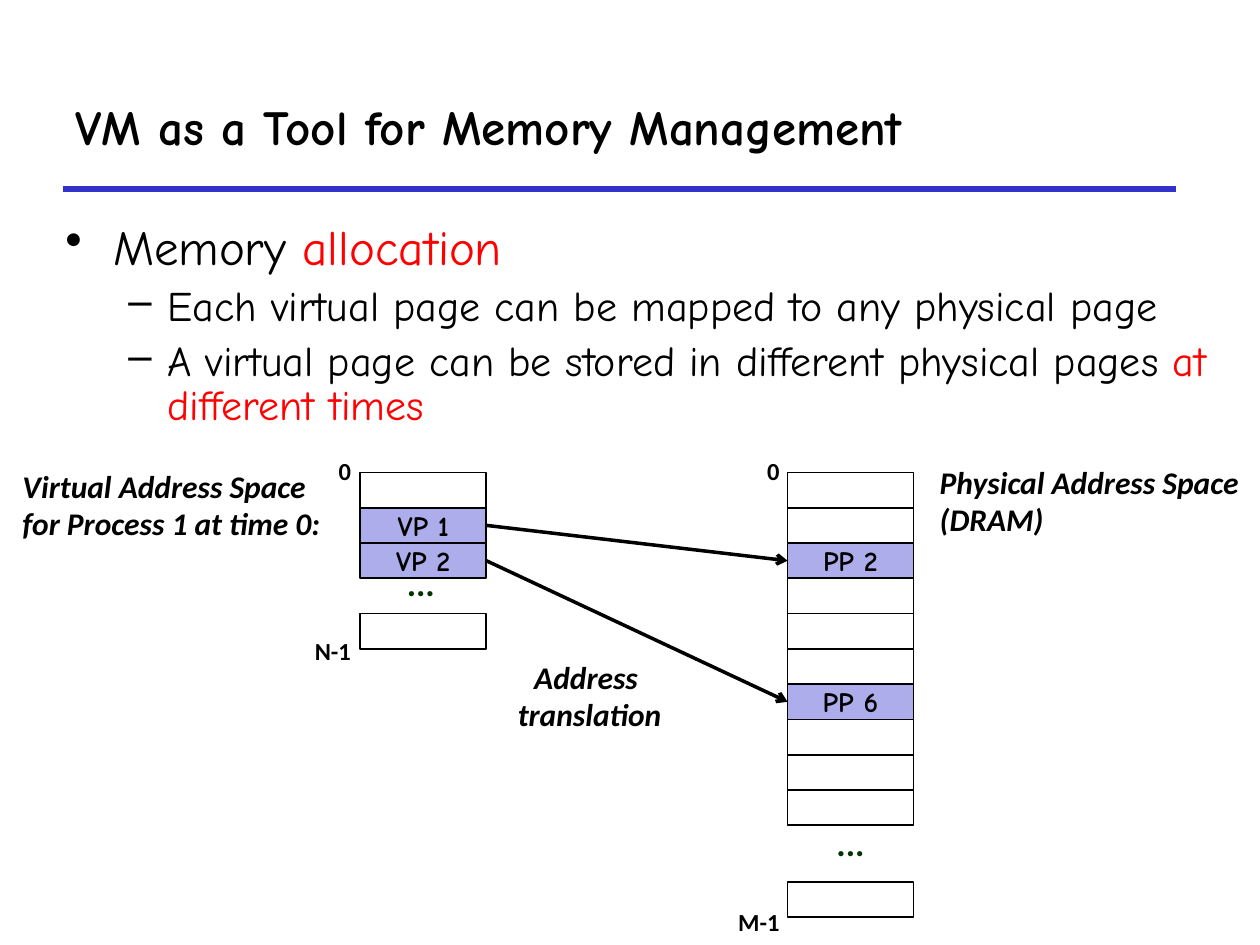
from lxml.etree import SubElement
from pptx import Presentation
from pptx.dml.color import RGBColor
from pptx.enum.shapes import MSO_CONNECTOR as Connector, MSO_SHAPE as Shape
from pptx.enum.text import MSO_ANCHOR as Anchor, PP_ALIGN as Align
from pptx.oxml.ns import qn
from pptx.util import Inches, Pt

HAND, SANS = "Comic Neue", "Calibri"
BLACK, RED, BLUE, LILAC, GREEN = "000000", "FF0000", "3333CC", "ADADEB", "003300"
CELL_WIDTH, CELL_HEIGHT, TABLE_TOP = 1, 0.28, 3.75
VIRTUAL_LEFT, PHYSICAL_LEFT = 2.86, 6.25


def color(hex_value):
    return RGBColor.from_string(hex_value)


def write(paragraph, text, size=18, font=SANS, fill=BLACK, bold=False, italic=False,
          align=None, spacing=None, before=None):
    run = paragraph.add_run()
    run.text = text
    run.font.size = Pt(size)
    run.font.name = font
    run.font.bold = bold
    run.font.italic = italic
    run.font.color.rgb = color(fill)
    if align is not None:
        paragraph.alignment = align
    if spacing is not None:
        paragraph.line_spacing = spacing
    if before is not None:
        paragraph.space_before = Pt(before)


def add_bullet(paragraph, symbol, margin, indent):
    properties = paragraph._p.get_or_add_pPr()
    properties.set("marL", str(Inches(margin)))
    properties.set("indent", str(Inches(indent)))
    bullet_color = SubElement(properties, qn("a:buClr"))
    SubElement(bullet_color, qn("a:srgbClr"), val=BLACK)
    SubElement(properties, qn("a:buChar"), char=symbol)


class SlideBuilder:
    def __init__(self, slide):
        self.slide = slide
        self.line_color = BLACK

    def frame(self, left, top, width, height, wrap=True, anchor=Anchor.TOP):
        box = self.slide.shapes.add_textbox(
            Inches(left), Inches(top), Inches(width), Inches(height))
        box.text_frame.word_wrap = wrap
        box.text_frame.vertical_anchor = anchor
        return box.text_frame

    def label(self, lines, left, top, width, height, wrap=True, anchor=Anchor.TOP, **style):
        frame = self.frame(left, top, width, height, wrap, anchor)
        for index, text in enumerate(lines):
            paragraph = frame.add_paragraph() if index else frame.paragraphs[0]
            write(paragraph, text, **style)

    def bullets(self, items, left, top, width, height):
        frame = self.frame(left, top, width, height)
        for index, (level, runs) in enumerate(items):
            paragraph = frame.add_paragraph() if index else frame.paragraphs[0]
            paragraph.level = level
            if level:
                add_bullet(paragraph, "–", 0.81, -0.31)
                style = dict(size=24, spacing=0.88, before=6)
            else:
                add_bullet(paragraph, "•", 0.38, -0.38)
                style = dict(size=28, spacing=0.83)
            for text, fill in runs:
                write(paragraph, text, font=HAND, fill=fill, **style)

    def cell(self, left, top, text=None):
        shape = self.slide.shapes.add_shape(
            Shape.RECTANGLE, Inches(left), Inches(top), Inches(CELL_WIDTH), Inches(CELL_HEIGHT))
        shape.shadow.inherit = False
        shape.line.color.rgb = color(self.line_color)
        shape.line.width = Pt(1)
        if text is None:
            shape.fill.background()
            return
        shape.fill.solid()
        shape.fill.fore_color.rgb = color(LILAC)
        shape.text_frame.vertical_anchor = Anchor.MIDDLE
        write(shape.text_frame.paragraphs[0], text, size=16, font=HAND, bold=True,
              align=Align.CENTER)

    def address_space(self, left, count, pages, last_top):
        for row in range(count):
            self.cell(left, TABLE_TOP + row * CELL_HEIGHT, pages.get(row))
        self.cell(left, last_top)

    def line(self, start, end, fill, width, arrow=False):
        connector = self.slide.shapes.add_connector(
            Connector.STRAIGHT, *[Inches(value) for value in (*start, *end)])
        connector.line.color.rgb = color(fill)
        connector.line.width = Pt(width)
        if arrow:
            SubElement(connector.line._get_or_add_ln(), qn("a:tailEnd"), type="arrow")
        SubElement(connector._element.spPr, qn("a:effectLst"))


def main():
    presentation = Presentation()
    presentation.slide_width, presentation.slide_height = Inches(10), Inches(7.5)
    builder = SlideBuilder(presentation.slides.add_slide(presentation.slide_layouts[6]))

    builder.line((0.5, 1.5), (9.33, 1.5), BLUE, 3)
    builder.label(["VM as a Tool for Memory Management"], 0.5, 0.5, 9.42, 1,
                  anchor=Anchor.MIDDLE, size=28, font=HAND, bold=True)
    builder.bullets([
        (0, [("Memory ", BLACK), ("allocation", RED)]),
        (1, [("Each virtual page can be mapped to any physical page", BLACK)]),
        (1, [("A virtual page can be stored in different physical pages ", BLACK),
             ("at different times", RED)]),
    ], 0.42, 1.75, 9.33, 2.08)

    heading = dict(bold=True, italic=True)
    builder.label(["Virtual Address Space for Process 1 at time 0:"],
                  0.08, 3.67, 2.58, 0.69, spacing=0.98, **heading)
    builder.label(["Physical Address Space (DRAM)"],
                  7.36, 3.64, 2.68, 0.69, spacing=0.98, **heading)

    builder.address_space(VIRTUAL_LEFT, 3, {1: "VP 1", 2: "VP 2"}, 4.87)
    builder.address_space(PHYSICAL_LEFT, 10, {2: "PP 2", 6: "PP 6"}, 7)

    for text, left, top, width in [("0", 2.59, 3.58, 0.3), ("N-1", 2.4, 5.01, 0.49),
                                   ("0", 5.99, 3.58, 0.3), ("M-1", 5.76, 7.16, 0.53)]:
        builder.label([text], left, top, width, 0.33, wrap=False,
                      size=14, bold=True, spacing=0.98)
    for left, top in [(3.13, 4.45), (6.54, 6.51)]:
        builder.label(["..."], left, top, 0.42, 0.39, wrap=False,
                      size=20, fill=GREEN, bold=True, spacing=0.88)

    for virtual_row, physical_row in [(1, 2), (2, 6)]:
        start, end = [TABLE_TOP + (row + 0.5) * CELL_HEIGHT
                      for row in (virtual_row, physical_row)]
        builder.line((VIRTUAL_LEFT + CELL_WIDTH, start), (PHYSICAL_LEFT, end),
                     BLACK, 2, arrow=True)
    builder.label(["Address ", "translation"], 4.01, 5.17, 1.34, 0.7, wrap=False,
                  align=Align.CENTER, **heading)

    presentation.save("out.pptx")


if __name__ == "__main__":
    main()
